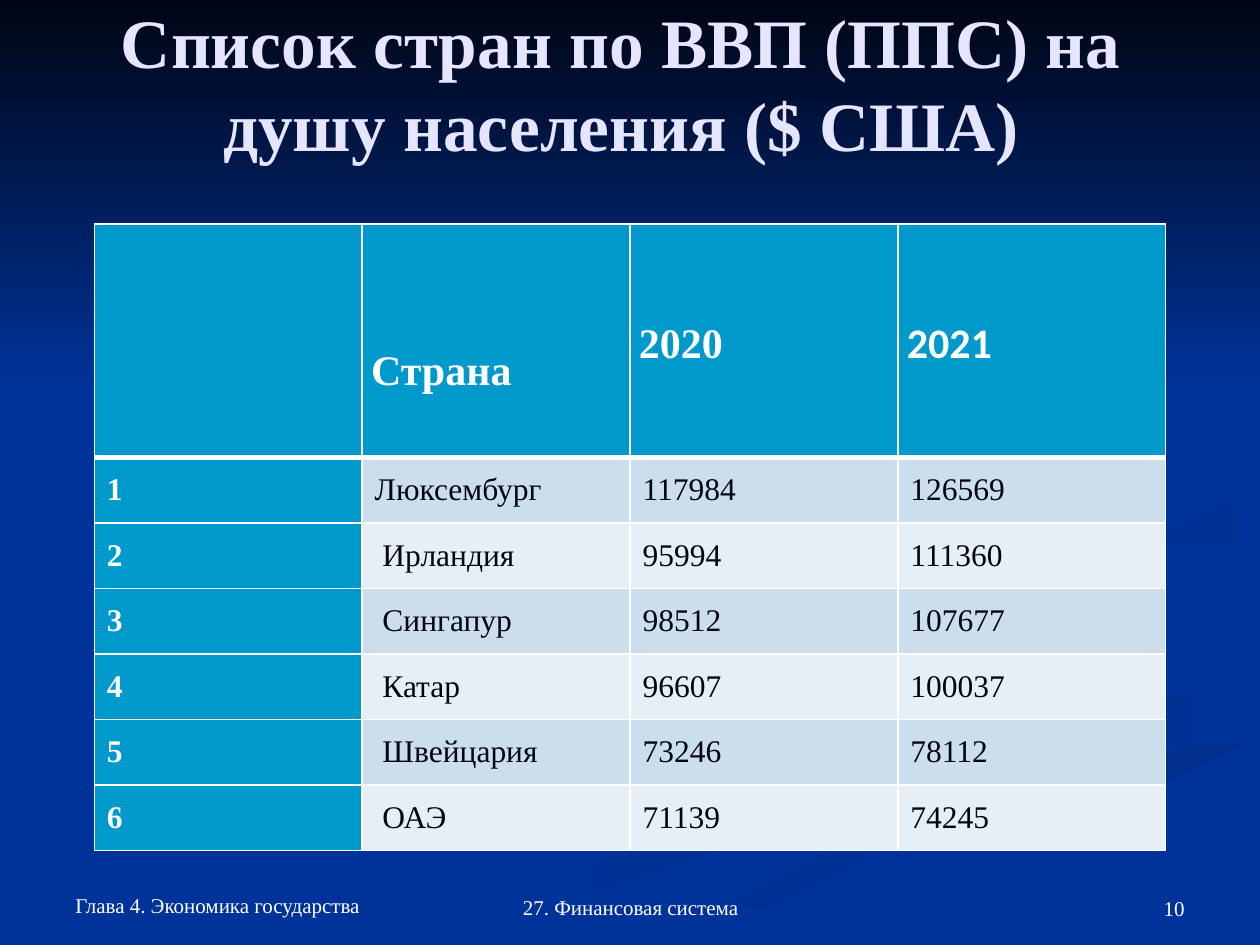
"""Build the slide listing countries by GDP (PPP) per head."""
import lxml.etree
import pptx
import pptx.dml.color
import pptx.enum.shapes
import pptx.enum.text
import pptx.oxml.ns
import pptx.util

Cm, Pt = pptx.util.Cm, pptx.util.Pt
ALIGN, ANCHOR = pptx.enum.text.PP_ALIGN, pptx.enum.text.MSO_ANCHOR
SERIF = "Times New Roman"
BLUE, NIGHT, WHITE, LILAC, CYAN = "003399", "000514", "FFFFFF", "E5E5FF", "0099CC"
BANDS = ("CCDEEC", "E7EFF6")

TITLE = "Список стран по ВВП (ППС) на душу населения ($ США)"
HEADER = ("", "Страна", "2020", "2021")
COUNTRIES = [
    ("Люксембург", 117984, 126569),
    ("Ирландия", 95994, 111360),
    ("Сингапур", 98512, 107677),
    ("Катар", 96607, 100037),
    ("Швейцария", 73246, 78112),
    ("ОАЭ", 71139, 74245),
]
FOOTERS = [
    ("Глава 4. Экономика государства", (1.27, 17.98, 8.25, 0.64), ALIGN.LEFT),
    ("10", (18.21, 18.21, 5.92, 0.48), ALIGN.RIGHT),
    ("27. Финансовая система", (8.69, 17.98, 8.05, 0.69), ALIGN.CENTER),
]
RIBBONS = [
    ("003399", "003193", 0, [
        (19.84, 14.05), (18.5, 13.5), (16.3, 12.9), (14.9, 12.2), (14.6, 11.66),
        (14.5, 12), (15.3, 12.6), (18.1, 13.5), (19.84, 14.12), (19.9, 14.6),
        (19, 15.1), (16.6, 15.8), (12.7, 16.8), (9.6, 18), (7.62, 19.02),
        (9.17, 19.02), (11.8, 17.8), (15.1, 16.7), (18.8, 15.7), (20.1, 15.2),
        (20.3, 14.7)]),
    ("003399", "003193", 315, [
        (23.95, 14.48), (23.62, 14.05), (22.99, 13.72), (22.1, 13.46),
        (20.12, 12.93), (18.92, 12.45), (18.39, 11.79), (18.54, 12.27),
        (19.18, 12.83), (20.24, 13.31), (22.05, 13.87), (22.86, 14.15),
        (23.24, 14.5), (23.29, 14.86), (22.71, 15.34), (23.5, 15.06),
        (23.9, 14.76)]),
    ("002F8C", "003399", 270, [
        (12.78, 19.02), (14.5, 19.02), (16, 18.26), (18.34, 17.32), (20.85, 16.54),
        (22.94, 16), (25.35, 15.47), (25.35, 14.76), (23.77, 15.29),
        (21.11, 15.98), (19.41, 16.43), (16.81, 17.3), (15.21, 17.93),
        (13.79, 18.62)]),
    ("003091", "003399", 315, [
        (19.84, 11.68), (19.96, 12.04), (20.47, 12.37), (20.98, 12.6),
        (20.55, 12.29), (20.45, 11.99), (20.73, 11.66), (21.41, 11.38),
        (22.3, 11.15), (23.77, 10.9), (25.35, 10.67), (25.35, 10.21),
        (24.56, 10.39), (22.81, 10.62), (21.56, 10.85), (20.57, 11.1),
        (20.09, 11.35)]),
]


def rgb(code):
    return pptx.dml.color.RGBColor.from_string(code)


def style(paragraph, size, color, bold=False, font=SERIF):
    for run in paragraph.runs:
        run.font.name, run.font.size, run.font.bold = font, Pt(size), bold
        run.font.color.rgb = rgb(color)


def shade(shape, start, end, angle):
    shape.shadow.inherit = False
    shape.line.fill.background()
    shape.fill.gradient()
    shape.fill.gradient_angle = angle
    for stop, color in zip(shape.fill.gradient_stops, (start, end)):
        stop.color.rgb = rgb(color)


def border(cell, widths):
    for side, width in zip("LRTB", widths):
        edge = lxml.etree.SubElement(cell._tc.get_or_add_tcPr(),
                                     pptx.oxml.ns.qn("a:ln" + side), w=str(Pt(width)))
        paint = lxml.etree.SubElement(edge, pptx.oxml.ns.qn("a:solidFill"))
        lxml.etree.SubElement(paint, pptx.oxml.ns.qn("a:srgbClr"), val=WHITE)


def add_backdrop(slide):
    slide.background.fill.solid()
    slide.background.fill.fore_color.rgb = rgb(BLUE)
    for start, end, angle, points in RIBBONS:
        outline = slide.shapes.build_freeform(*points[0], scale=Cm(1))
        outline.add_line_segments(points[1:], close=True)
        shade(outline.convert_to_shape(), start, end, angle)
    sky = slide.shapes.add_shape(pptx.enum.shapes.MSO_SHAPE.RECTANGLE,
                                 0, 0, Cm(25.4), Cm(7.82))
    shade(sky, NIGHT, BLUE, 270)


def add_title(slide):
    title = slide.shapes.title
    title.left, title.top, title.width, title.height = map(Cm, (1.09, 0.91, 22.86, 3.18))
    frame = title.text_frame
    frame.text = TITLE
    frame.word_wrap = True
    frame.auto_size = pptx.enum.text.MSO_AUTO_SIZE.NONE
    frame.vertical_anchor = ANCHOR.MIDDLE
    frame.margin_bottom = Cm(1.8)
    frame.paragraphs[0].alignment = ALIGN.CENTER
    style(frame.paragraphs[0], 39.6, LILAC, True)


def add_footers(slide):
    for text, place, alignment in FOOTERS:
        frame = slide.shapes.add_textbox(*map(Cm, place)).text_frame
        frame.text = text
        frame.word_wrap = True
        frame.vertical_anchor = ANCHOR.BOTTOM
        frame.paragraphs[0].alignment = alignment
        style(frame.paragraphs[0], 12, WHITE)


def add_ranking(slide):
    rows = [HEADER] + [(rank, *entry) for rank, entry in enumerate(COUNTRIES, 1)]
    ranking = slide.shapes.add_table(len(rows), len(HEADER), Cm(1.9), Cm(4.52),
                                     Cm(21.6), Cm(12.62)).table
    for r, values in enumerate(rows):
        ranking.rows[r].height = Cm(1.32 if r else 4.7)
        for c, value in enumerate(values):
            cell = ranking.cell(r, c)
            cell.text = str(value)
            cell.vertical_anchor = ANCHOR.MIDDLE
            border(cell, (1, 1, 3 if r == 1 else 1, 1 if r else 3))
            strong = r == 0 or c == 0
            cell.fill.solid()
            cell.fill.fore_color.rgb = rgb(CYAN if strong else BANDS[(r - 1) % 2])
            paragraph = cell.text_frame.paragraphs[0]
            style(paragraph, 18 if r else 24, WHITE if strong else NIGHT, strong,
                  "Calibri" if value == "2021" else SERIF)
            if r == 0:
                cell.margin_left = cell.margin_right = Cm(0.18)
                cell.margin_top = Cm(1.1 if value == "Страна" else 0)
                cell.margin_bottom = 0
                paragraph.line_spacing, paragraph.space_after = 1.15, Pt(10)
            elif c == 1 and r > 1:
                cell.margin_left = Cm(0.41)


def main():
    deck = pptx.Presentation()
    deck.slide_width, deck.slide_height = Cm(25.4), Cm(19.05)
    slide = deck.slides.add_slide(deck.slide_layouts[5])
    add_backdrop(slide)
    add_title(slide)
    slide.shapes._spTree.append(slide.shapes.title._element)
    add_footers(slide)
    add_ranking(slide)
    deck.save("out.pptx")


if __name__ == "__main__":
    main()
